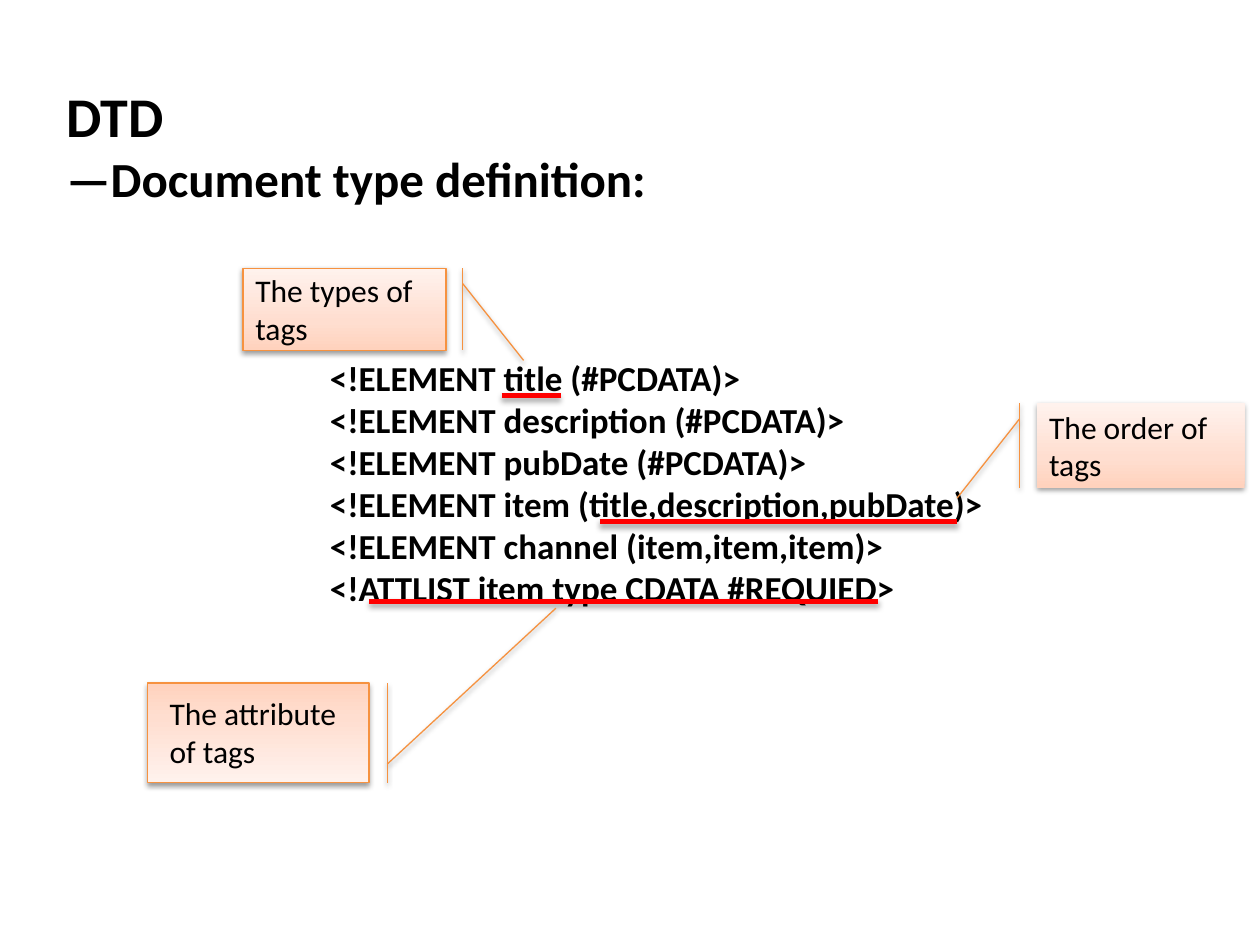
import pptx
import pptx.dml.color
import pptx.enum.shapes
import pptx.enum.text
import pptx.oxml
import pptx.oxml.ns
import pptx.util
from pptx.util import Cm

SHAPES = pptx.enum.shapes.MSO_SHAPE
ACCENT_BAR = SHAPES.LINE_CALLOUT_1_ACCENT_BAR
BORDER_AND_BAR = SHAPES.LINE_CALLOUT_1_BORDER_AND_ACCENT_BAR
PEACH_STOPS = [(0, "FFD2BD"), (35, "FFDED0"), (100, "FFF2ED")]
NAMESPACE = pptx.oxml.ns.nsdecls("a")

DECLARATIONS = [
    "<!ELEMENT title (#PCDATA)>",
    "<!ELEMENT description (#PCDATA)>",
    "<!ELEMENT pubDate (#PCDATA)>",
    "<!ELEMENT item (title,description,pubDate)>",
    "<!ELEMENT channel (item,item,item)>",
    "<!ATTLIST item type CDATA #REQUIED>",
]


def color(value):
    return pptx.dml.color.RGBColor.from_string(value)


def write_text(shape, lines, sizes, bold=False, wrap=True,
               anchor=pptx.enum.text.MSO_ANCHOR.TOP):
    """Write one paragraph per line, each with its own size."""
    frame = shape.text_frame
    frame.word_wrap = wrap
    frame.vertical_anchor = anchor
    for index, (line, size) in enumerate(zip(lines, sizes)):
        para = frame.paragraphs[0] if index == 0 else frame.add_paragraph()
        para.alignment = pptx.enum.text.PP_ALIGN.LEFT
        span = para.add_run()
        span.text = line
        span.font.name = "Calibri"
        span.font.size = pptx.util.Pt(size)
        span.font.bold = bold
        span.font.color.rgb = color("000000")


def add_text(shapes, box, lines, sizes, **style):
    text_box = shapes.add_textbox(*map(Cm, box))
    write_text(text_box, lines, sizes, **style)


def set_outline(shape, value, width):
    shape.line.color.rgb = color(value)
    shape.line.width = pptx.util.Pt(width)


def add_shadow(shape, distance, opacity):
    """Cast a soft black shadow straight down."""
    shape.element.spPr.append(pptx.oxml.parse_xml(
        f'<a:effectLst {NAMESPACE}><a:outerShdw blurRad="{pptx.util.Pt(3.1)}" '
        f'dist="{pptx.util.Pt(distance)}" dir="5400000" rotWithShape="0">'
        f'<a:srgbClr val="000000"><a:alpha val="{opacity * 1000}"/></a:srgbClr>'
        '</a:outerShdw></a:effectLst>'))


def fill_gradient(shape):
    shape.fill.gradient()
    gradient = shape.element.spPr.find(pptx.oxml.ns.qn("a:gradFill"))
    for child in list(gradient):
        gradient.remove(child)
    stops = "".join(f'<a:gs pos="{place * 1000}"><a:srgbClr val="{value}"/></a:gs>'
                    for place, value in PEACH_STOPS)
    gradient.append(pptx.oxml.parse_xml(f"<a:gsLst {NAMESPACE}>{stops}</a:gsLst>"))
    gradient.append(pptx.oxml.parse_xml(
        f'<a:lin {NAMESPACE} ang="16200000" scaled="1"/>'))


def add_callout(shapes, box, kind, text=None, flips=(), pointer=()):
    """Place a peach callout; pointer holds its adjustment values."""
    callout = shapes.add_shape(kind, *map(Cm, box))
    for index, value in enumerate(pointer):
        callout.adjustments[index] = value
    for flip in flips:
        callout.element.spPr.xfrm.set(flip, "1")
    fill_gradient(callout)
    set_outline(callout, "F69240", 0.75)
    add_shadow(callout, 1.6, 38)
    if text:
        write_text(callout, [text], [18],
                   anchor=pptx.enum.text.MSO_ANCHOR.MIDDLE)


def add_attribute_callout(page, box):
    """Group an upside-down callout with its separate upright label."""
    left, top, width, height = box
    shapes = page.shapes.add_group_shape().shapes
    add_callout(shapes, box, BORDER_AND_BAR, flips=("flipH", "flipV"),
                pointer=(0.188, -0.083, 1.75, -0.843))
    add_text(shapes, (left + 0.2, top + 0.1, width - 0.4, height - 0.2),
             ["The attribute", "of tags"], [18, 18], wrap=False)


def add_declarations(page, box):
    """Place the DTD code and the red underlines below its key parts."""
    left, top, width, height = box
    add_text(page.shapes, box, DECLARATIONS, [20] * len(DECLARATIONS), bold=True)
    for start, end, drop in [(5.69, 12.9, 3.46), (1.04, 11.3, 5.06), (3.71, 4.9, 0.92)]:
        underline = page.shapes.add_connector(
            pptx.enum.shapes.MSO_CONNECTOR.STRAIGHT,
            Cm(left + start), Cm(top + drop), Cm(left + end), Cm(top + drop))
        set_outline(underline, "FF0000", 3)
        add_shadow(underline, 1.8, 35)


def main():
    deck = pptx.Presentation()
    deck.slide_width, deck.slide_height = Cm(25.4), Cm(19.05)
    page = deck.slides.add_slide(deck.slide_layouts[6])

    # Heading
    add_text(page.shapes, (1.09, 1.52, 12.7, 2.82),
             ["DTD", "—Document type definition:"], [32, 28], bold=True)
    # Code
    add_declarations(page, (6.4, 7.06, 14.81, 5.38))
    # Callouts
    add_callout(page.shapes, (20.9, 8.13, 4.19, 1.7), ACCENT_BAR,
                "The order of tags")
    add_attribute_callout(page, (2.97, 13.77, 4.47, 2.01))
    add_callout(page.shapes, (4.9, 5.41, 4.09, 1.65), BORDER_AND_BAR,
                "The types of tags", flips=("flipH",))

    deck.save("out.pptx")


if __name__ == "__main__":
    main()
